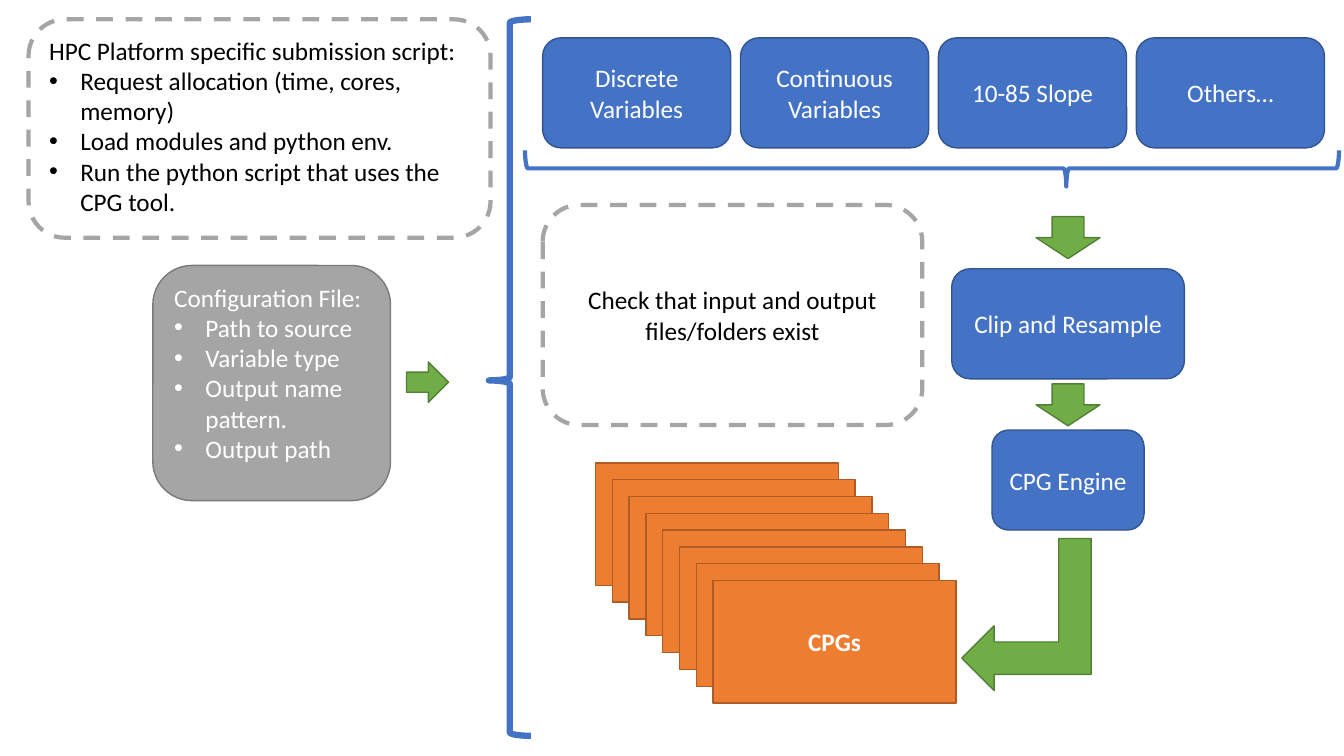
from dataclasses import dataclass

from lxml import etree
from pptx import Presentation
from pptx import util as u
from pptx.dml.color import RGBColor
from pptx.enum import dml, shapes, text
from pptx.oxml import ns

COLUMNS, ROWS = 160, 90
CELL = u.Inches(7.5) / ROWS
KIND = shapes.MSO_SHAPE


@dataclass(frozen=True)
class Theme:
    """Colours as RRGGBB, sizes in points; pairs are (fill, line)."""
    step: tuple = ("4472C4", "325491")
    flow: tuple = ("70AD47", "538035")
    sheet: tuple = ("ED7D31", "AF5C24")
    config: tuple = ("A5A5A5", "7A7A7A")
    note: tuple = ("FFFFFF", "A5A5A5")
    brace: tuple = (None, "4472C4")
    light: str = "FFFFFF"
    dark: str = "000000"
    font: str = "Calibri"
    body: float = 18
    thin: float = 1
    thick: float = 3
    heavy: float = 4.5


THEME = Theme()


@dataclass(frozen=True)
class Box:
    """An area in grid columns and rows."""
    x: float
    y: float
    w: float
    h: float

    def at(self, x, y, w, h):
        """Give an area placed from this area's top left corner."""
        return Box(self.x + x, self.y + y, w, h)

    def centred(self, y, w, h):
        """Give an area centred across this one, y rows down."""
        return self.at((self.w - w) / 2, y, w, h)

    def turned(self):
        """Give the area to set before a quarter turn fills this one."""
        return self.at((self.w - self.h) / 2, (self.h - self.w) / 2, self.h, self.w)


def draw(slide, kind, box, colours, width=THEME.thin, adjust=()):
    """Add a preset shape with its fill and outline."""
    shape = slide.shapes.add_shape(
        kind, *(round(side * CELL) for side in (box.x, box.y, box.w, box.h)))
    shape.shadow.inherit = False
    fill, line = colours
    if fill:
        shape.fill.solid()
        shape.fill.fore_color.rgb = RGBColor.from_string(fill)
    else:
        shape.fill.background()
    shape.line.color.rgb = RGBColor.from_string(line)
    shape.line.width = u.Pt(width)
    for index, value in enumerate(adjust):
        shape.adjustments[index] = value
    return shape


def write(shape, words, colour=THEME.light, bold=False, centred=True):
    """Put text in a shape, centred or from the top left."""
    frame = shape.text_frame
    frame.text = words
    frame.word_wrap = True
    frame.vertical_anchor = text.MSO_ANCHOR.MIDDLE if centred else text.MSO_ANCHOR.TOP
    for paragraph in frame.paragraphs:
        paragraph.alignment = text.PP_ALIGN.CENTER if centred else text.PP_ALIGN.LEFT
        for run in paragraph.runs:
            run.font.name = THEME.font
            run.font.size = u.Pt(THEME.body)
            run.font.bold = bold
            run.font.color.rgb = RGBColor.from_string(colour)


def write_list(shape, heading, items, colour):
    """Put a heading and its bulleted items in a shape."""
    write(shape, "\n".join([heading, *items]), colour, centred=False)
    indent = u.Inches(0.31)
    for paragraph in shape.text_frame.paragraphs[1:]:
        props = paragraph._p.get_or_add_pPr()
        props.set("marL", str(indent))
        props.set("indent", str(-indent))
        etree.SubElement(props, ns.qn("a:buFont"), typeface="Arial")
        etree.SubElement(props, ns.qn("a:buChar"), char="•")


def note(slide, box):
    """Add a white rounded box with a dashed outline."""
    shape = draw(slide, KIND.ROUNDED_RECTANGLE, box, THEME.note, THEME.thick)
    shape.line.dash_style = dml.MSO_LINE.DASH
    return shape


def step(slide, box, words):
    """Add one blue processing step."""
    write(draw(slide, KIND.ROUNDED_RECTANGLE, box, THEME.step), words)


def variables(slide, box):
    """Add the row of variable steps with the brace below it."""
    names = ("Discrete Variables", "Continuous Variables", "10-85 Slope", "Others…")
    for index, name in enumerate(names):
        step(slide, box.at(2.1 + 23.56 * index, 0, 22.4, 13.1), name)
    brace = draw(slide, KIND.RIGHT_BRACE, box.at(0, 13.4, box.w, 4.3).turned(),
                 THEME.brace, THEME.thick, (0.083, 0.335))
    brace.rotation = 90


def processing(slide, box):
    """Add the steps from clipping to the engine, with their arrows."""
    step(slide, box.centred(6.2, box.w, 13.1), "Clip and Resample")
    step(slide, box.centred(25.4, 18.1, 11.9), "CPG Engine")
    for row in (0, 19.9):
        draw(slide, KIND.DOWN_ARROW, box.centred(row, 7.6, 5), THEME.flow)
    bend = draw(slide, KIND.BENT_UP_ARROW, box.at(1.2, 38.3, 15.4, 18.1).turned(),
                THEME.flow)
    bend.rotation = 90
    bend.element.spPr.xfrm.set("flipV", "1")


def results(slide, box, count=8):
    """Add the stack of result sheets, the front one labelled."""
    width, height = 28.9, 14.6
    across, down = (box.w - width) / (count - 1), (box.h - height) / (count - 1)
    for index in range(count):
        sheet = draw(slide, KIND.RECTANGLE,
                     box.at(index * across, index * down, width, height), THEME.sheet)
    write(sheet, "CPGs", bold=True)


def configuration(slide, box):
    """Add the configuration file and the arrow leaving it."""
    config = draw(slide, KIND.ROUNDED_RECTANGLE, box.at(0, 0, 28.3, box.h), THEME.config)
    write_list(config, "Configuration File:",
               ("Path to source", "Variable type", "Output name pattern.", "Output path"),
               THEME.light)
    draw(slide, KIND.RIGHT_ARROW, box.at(30.2, 11.5, 5, 4.8), THEME.flow)


def submission(slide, box):
    """Add the submission script note."""
    write_list(note(slide, box), "HPC Platform specific submission script:",
               ("Request allocation (time, cores, memory)",
                "Load modules and python env.",
                "Run the python script that uses the CPG tool."), THEME.dark)


def file_check(slide, box):
    """Add the note on checking files."""
    write(note(slide, box), "Check that input and output files/folders exist", THEME.dark)


def tool_brace(slide, box):
    """Add the brace that gathers the tool's parts."""
    draw(slide, KIND.LEFT_BRACE, box, THEME.brace, THEME.heavy, (0.083, 0.504))


def workflow(slide, box):
    """Lay out the whole workflow."""
    processing(slide, box.at(113.3, 25.8, 27.7, 56.4))
    variables(slide, box.at(62.5, 4.5, 96.9, 17.7))
    results(slide, box.at(70.9, 55.1, 42.9, 28.6))
    tool_brace(slide, box.at(58.2, 2.3, 5, 85.3))
    configuration(slide, box.at(18.2, 31.6, 35.2, 28))
    submission(slide, box.at(3.4, 2.3, 55, 26))
    file_check(slide, box.at(64.6, 24.4, 45.2, 26.2))


deck = Presentation()
deck.slide_width, deck.slide_height = round(COLUMNS * CELL), round(ROWS * CELL)
workflow(deck.slides.add_slide(deck.slide_layouts[6]), Box(0, 0, COLUMNS, ROWS))
deck.save("out.pptx")
